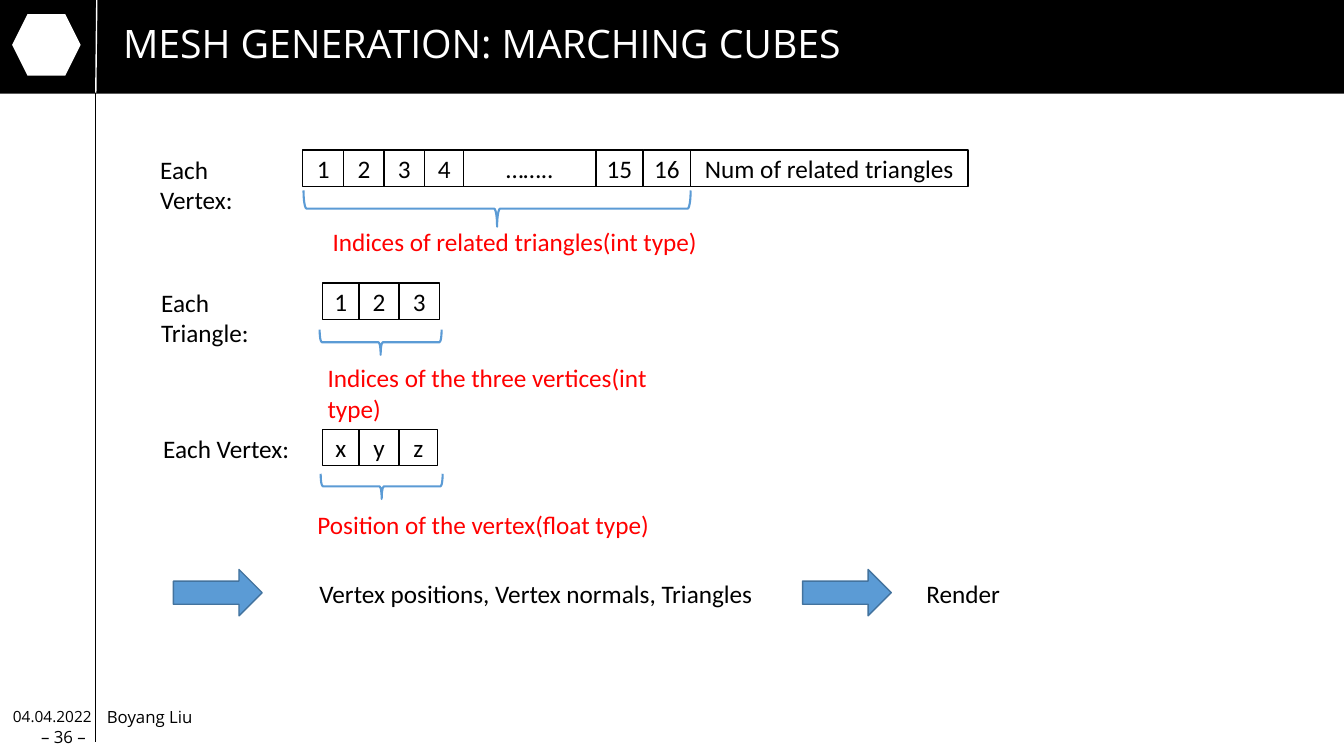
from lxml import etree
from pptx import Presentation
from pptx.dml.color import RGBColor
from pptx.enum.shapes import MSO_CONNECTOR, MSO_SHAPE as SHAPE
from pptx.enum.text import MSO_ANCHOR as ANCHOR, MSO_AUTO_SIZE as AUTO, PP_ALIGN as ALIGN
from pptx.oxml.ns import qn
from pptx.util import Pt

PX = 9144  # 100 px to the inch
W, H = 1333, 750
BLACK, WHITE, RED = "000000", "FFFFFF", "FF0000"
BLUE, DARK_BLUE = "5B9BD5", "43739E"
BODY, HEAD = "Calibri", "Open Sans"


def rgb(value):
    return RGBColor.from_string(value)


def emu(*lengths):
    return [round(n * PX) for n in lengths]


def write(shape, text, size=18, font=BODY, color=BLACK, align=ALIGN.LEFT, anchor=ANCHOR.TOP):
    tf = shape.text_frame
    tf.word_wrap = True
    tf.auto_size = AUTO.NONE
    tf.vertical_anchor = anchor
    p = tf.paragraphs[0]
    p.alignment = align
    r = p.add_run()
    r.text = text
    r.font.size, r.font.name = Pt(size), font
    r.font.color.rgb = rgb(color)
    return tf


def label(s, x, y, w, h, text, **style):
    return write(s.shapes.add_textbox(*emu(x, y, w, h)), text, **style)


def shape(s, kind, x, y, w, h, fill=None, line=None, weight=1):
    sp = s.shapes.add_shape(kind, *emu(x, y, w, h))
    sp.shadow.inherit = False
    if fill:
        sp.fill.solid()
        sp.fill.fore_color.rgb = rgb(fill)
    else:
        sp.fill.background()
    if line:
        sp.line.color.rgb = rgb(line)
        sp.line.width = Pt(weight)
    else:
        sp.line.fill.background()
    return sp


def rule(s, x1, y1, x2, y2, color):
    c = s.shapes.add_connector(MSO_CONNECTOR.STRAIGHT, *emu(x1, y1, x2, y2))
    c.line.color.rgb = rgb(color)
    c.line.width = Pt(1)
    etree.SubElement(c.element.spPr, qn("a:effectLst"))


def header(s, x, y, w, h, text):
    shape(s, SHAPE.RECTANGLE, x, y, w, h, BLACK)
    rule(s, x + 95, y + 26, x + 95, y + 736, BLACK)
    rule(s, x + 95, y + 92, x + 96, y, WHITE)
    shape(s, SHAPE.HEXAGON, x + 12, y + 14, 68, 61, WHITE)  # emblem
    title = s.shapes.title
    title.left, title.top, title.width, title.height = emu(x + 112, y + 19, 1185, 62)
    tf = write(title, text, size=28, font=HEAD, color=WHITE)
    tf.paragraphs[0].line_spacing = 0.9
    title.element.getparent().append(title.element)  # in front of the bar


def footer(s, x, y, author, date, number):
    tf = label(s, x + 106, y + 9, 489, 20, author, size=12, font=HEAD)
    tf.margin_left = tf.margin_top = tf.margin_right = tf.margin_bottom = 0
    tf.paragraphs[0].line_spacing = Pt(14)
    label(s, x + 3, y, 99, 35, date, size=11, font=HEAD, anchor=ANCHOR.MIDDLE)
    label(s, x + 2, y + 21, 93, 33, number, size=12, font=HEAD,
          align=ALIGN.RIGHT, anchor=ANCHOR.MIDDLE)


def brace_below(s, x, y, w, h):
    # The brace is upright before its quarter turn about the centre
    sp = shape(s, SHAPE.RIGHT_BRACE, x + (w - h) / 2, y + (h - w) / 2, h, w,
               line=BLUE, weight=1.5)
    sp.rotation = 90


def record(s, x, y, name, name_w, cells_x, cells, brace, caption_at, caption):
    """A named row of memory cells with a brace and a caption below it."""
    label(s, x, y - 1, name_w, 40, name)
    left = x + cells_x
    for text, w in cells:
        cell = shape(s, SHAPE.RECTANGLE, left, y, w, 36, WHITE, BLACK)
        write(cell, text, align=ALIGN.CENTER, anchor=ANCHOR.MIDDLE)
        left += w
    bx, by, bw, bh = brace
    brace_below(s, x + bx, y + by, bw, bh)
    cx, cy = caption_at
    label(s, x + cx, y + cy, 391, 40, caption, color=RED)


def pipeline(s, x, y, steps):
    """Arrows, each followed by its step."""
    for arrow_x, text_x, w, text in steps:
        shape(s, SHAPE.RIGHT_ARROW, x + arrow_x, y, 88, 46, BLUE, DARK_BLUE)
        label(s, x + text_x, y + 4, w, 40, text)


def main():
    prs = Presentation()
    prs.slide_width, prs.slide_height = emu(W, H)
    s = prs.slides.add_slide(prs.slide_layouts[5])

    header(s, 0, 0, W, 93, "MESH GENERATION: MARCHING CUBES")
    footer(s, 0, 693, "Boyang Liu", "04.04.2022", "– 36 –")

    # Data layout of vertices and triangles
    record(s, 149, 149, "Each Vertex:", 142, 151,
           [("1", 41), ("2", 40), ("3", 40), ("4", 39), ("……..", 131),
            ("15", 47), ("16", 47), ("Num of related triangles", 275)],
           (152, 40, 384, 36), (171, 71), "Indices of related triangles(int type)")
    record(s, 150, 281, "Each Triangle:", 155, 170,
           [("1", 36), ("2", 40), ("3", 40)],
           (167, 46, 121, 25), (165, 74), "Indices of the three vertices(int type)")
    record(s, 152, 426, "Each Vertex:", 155, 168,
           [("x", 36), ("y", 40), ("z", 38)],
           (166, 44, 121, 25), (153, 74), "Position of the vertex(float type)")

    # Output stages
    pipeline(s, 172, 565, [(0, 135, 480, "Vertex positions, Vertex normals, Triangles"),
                           (624, 737, 400, "Render")])
    prs.save("out.pptx")


if __name__ == "__main__":
    main()
